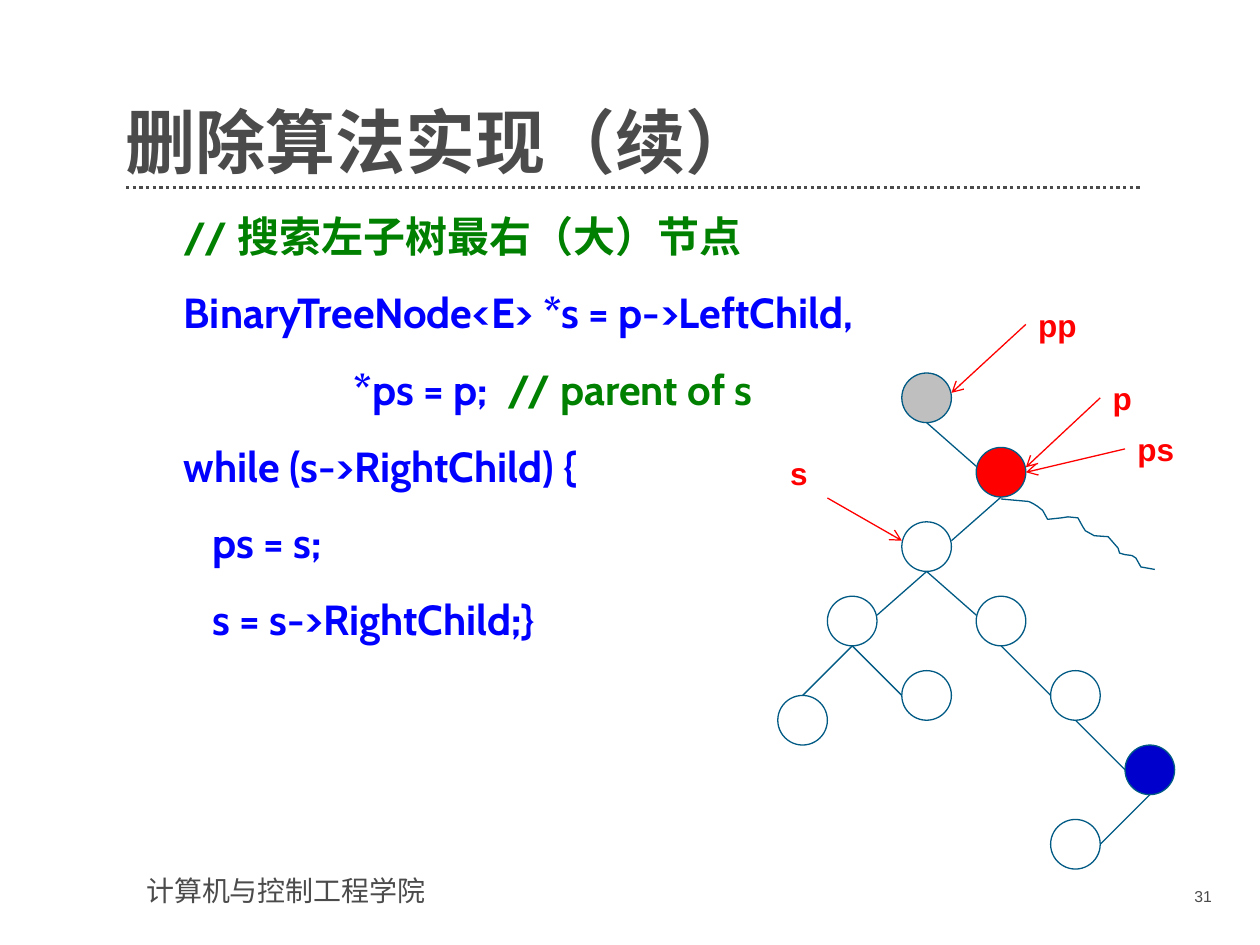
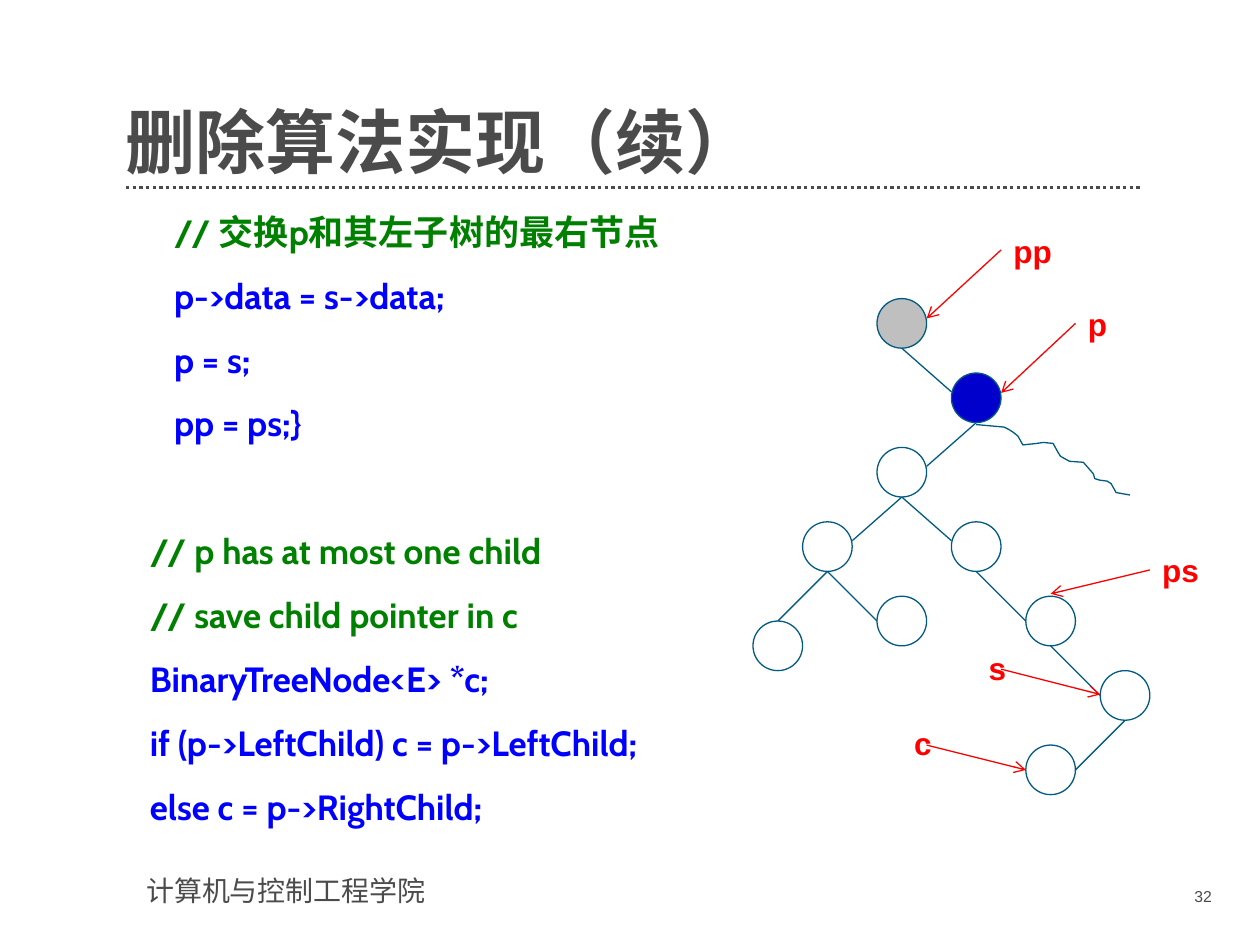
from lxml import etree
from pptx import Presentation
from pptx import util as u
from pptx.dml.color import RGBColor
from pptx.enum import dml, shapes, text
from pptx.oxml.ns import qn

GREY, TEAL, RED = "4B4B4B", "005A84", "FF0000"
GREEN, BLUE = "008000", "0000FF"
SILVER, NAVY = "BFBFBF", "0000CC"
CJK_FONT = "Noto Sans CJK SC"
TITLE = "删除算法实现（续）"
SCHOOL = "计算机与控制工程学院"
RADIUS = 0.5

# Tree geometry in centimetres, measured from the centre of the root.
NODES = {
    "root": (0, 0),
    "target": (1.5, 1.5),
    "left": (0, 3),
    "left.left": (-1.5, 4.5),
    "left.right": (1.5, 4.5),
    "left.left.left": (-2.5, 6.5),
    "left.left.right": (0, 6),
    "second last": (3, 6),
    "rightmost": (4.5, 7.5),
    "leaf": (3, 9),
}
# Parent, child, and where the edge meets the child, from the child's centre.
EDGES = [
    ("root", "target", -RADIUS, -0.12),
    ("target", "left", RADIUS, -0.12),
    ("left", "left.left", RADIUS, -0.12),
    ("left", "left.right", -RADIUS, -0.12),
    ("left.left", "left.left.left", 0, -RADIUS),
    ("left.left", "left.left.right", -RADIUS, 0),
    ("left.right", "second last", -RADIUS, 0),
    ("second last", "rightmost", -RADIUS, 0),
    ("rightmost", "leaf", RADIUS, 0),
]
# Outline of the right subtree, from its top.
SUBTREE = [
    (0, 0), (0.56, 0.05), (0.66, 0.1), (0.74, 0.15), (0.84, 0.23),
    (0.94, 0.41), (1.22, 0.38), (1.35, 0.36), (1.55, 0.38), (1.65, 0.56),
    (1.7, 0.64), (1.88, 0.74), (2.16, 0.76), (2.36, 0.99), (2.39, 1.09),
    (2.49, 1.12), (2.64, 1.14), (2.72, 1.19), (2.82, 1.37), (3.1, 1.42),
]
# Pointer name, label corner, arrow start, arrow end.
COMMON_POINTERS = [
    ("pp", (2, -1.97), (2, -1.48), (0.5, -0.1)),
    ("p", (3.5, -0.5), (3.5, 0), (2, 1.4)),
]

SLIDES = [
    {
        "number": "31",
        "size": 24,
        "code": [(1.17, 15, [
            [("// 搜索左子树最右（大）节点", GREEN)],
            [("BinaryTreeNode<E> *s = p->LeftChild,", BLUE)],
            [("                  *ps = p;", BLUE), ("  // parent of s", GREEN)],
            [("while (s->RightChild) {", BLUE)],
            [("   ps = s;", BLUE)],
            [("   s = s->RightChild;}", BLUE)],
        ])],
        "root": (18.68, 8.02),
        "fills": {"root": SILVER, "target": RED, "rightmost": NAVY},
        "pointers": [
            ("s", (-3, 1), (-2, 2.02), (-0.5, 2.88)),
            ("ps", (4, 0.52), (4, 1.03), (2, 1.5)),
        ],
    },
    {
        "number": "32",
        "size": 20,
        "code": [
            (0.97, 12.5, [
                [("// 交换p和其左子树的最右节点", GREEN)],
                [("p->data = s->data;", BLUE)],
                [("p = s;", BLUE)],
                [("pp = ps;}", BLUE)],
            ]),
            (0.48, 49, [
                [("// p has at most one child", GREEN)],
                [("// save child pointer in c", GREEN)],
                [("BinaryTreeNode<E> *c;", BLUE)],
                [("if (p->LeftChild) c = p->LeftChild;", BLUE)],
                [("else c = p->RightChild;", BLUE)],
            ]),
        ],
        "root": (18.18, 6.52),
        "fills": {"root": SILVER, "target": NAVY},
        "pointers": [
            ("s", (1.5, 6.44), (2, 6.97), (4, 7.48)),
            ("ps", (5, 4.46), (5, 4.97), (3, 5.45)),
            ("c", (0, 7.96), (0.5, 8.5), (2.5, 9)),
        ],
    },
]


def colour(value):
    return RGBColor.from_string(value)


def add_text(slide, box, paragraphs, size, font="Arial", bold=False, inset=True):
    """Add a text box; each paragraph is a list of (text, colour) runs."""
    frame = slide.shapes.add_textbox(*[u.Cm(length) for length in box]).text_frame
    frame.word_wrap = True
    if not inset:
        frame.margin_left = frame.margin_right = 0
        frame.margin_top = frame.margin_bottom = 0
    for index, runs in enumerate(paragraphs):
        paragraph = frame.add_paragraph() if index else frame.paragraphs[0]
        for words, shade in runs:
            run = paragraph.add_run()
            run.text = words
            run.font.size = u.Pt(size)
            run.font.name = font
            run.font.bold = bold
            run.font.color.rgb = colour(shade)
            properties = run.font._element
            etree.SubElement(properties, qn("a:ea")).set("typeface", CJK_FONT)
    return frame


presentation = Presentation()
presentation.slide_width = u.Cm(25.4)
presentation.slide_height = u.Cm(19.05)

for content in SLIDES:
    slide = presentation.slides.add_slide(presentation.slide_layouts[6])
    root_x, root_y = content["root"]
    pointers = COMMON_POINTERS + content["pointers"]

    add_text(slide, (2.7, 17.48, 9, 0.94), [[(SCHOOL, GREY)]], 16)
    title = add_text(slide, (2.54, 1.4, 20.47, 2.31), [[(TITLE, GREY)]], 40,
                     CJK_FONT, bold=True, inset=False)
    title.vertical_anchor = text.MSO_ANCHOR.BOTTOM
    title.paragraphs[0].line_spacing = 0.9
    number = add_text(slide, (22.17, 17.75, 2.51, 0.74),
                      [[(content["number"], GREY)]], 9)
    number.paragraphs[0].alignment = text.PP_ALIGN.RIGHT

    # Code listing
    code_lines = [line for _, _, block in content["code"] for line in block]
    code = add_text(slide, (2.54, 4.24, 20.47, 12.7), code_lines, content["size"],
                    "Cabin", bold=True, inset=False)
    paragraphs = iter(code.paragraphs)
    line_gap = content["code"][0][1]
    for block_number, (indent, block_gap, block) in enumerate(content["code"]):
        for line_number in range(len(block)):
            paragraph = next(paragraphs)
            paragraph._p.get_or_add_pPr().set("marL", str(u.Cm(indent)))
            if line_number:
                paragraph.space_before = u.Pt(line_gap)
            elif block_number:
                paragraph.space_before = u.Pt(block_gap)

    # Tree nodes
    for name, (x, y) in NODES.items():
        node = slide.shapes.add_shape(
            shapes.MSO_SHAPE.OVAL, u.Cm(root_x + x - RADIUS),
            u.Cm(root_y + y - RADIUS), u.Cm(2 * RADIUS), u.Cm(2 * RADIUS))
        node.shadow.inherit = False
        node.line.color.rgb = colour(TEAL)
        node.line.width = u.Pt(0.75)
        if name in content["fills"]:
            node.fill.solid()
            node.fill.fore_color.rgb = colour(content["fills"][name])
        else:
            node.fill.background()

    # Right subtree of the deleted node
    top_x, top_y = root_x + 1.5, root_y + 2.04
    points = [(u.Cm(top_x + x), u.Cm(top_y + y)) for x, y in SUBTREE]
    builder = slide.shapes.build_freeform(*points[0])
    builder.add_line_segments(points[1:], close=False)
    subtree = builder.convert_to_shape()
    subtree.shadow.inherit = False
    subtree.fill.background()
    subtree.line.color.rgb = colour(TEAL)
    subtree.line.width = u.Pt(0.75)

    # Title rule, tree edges and pointer arrows
    lines = [((2.54, 3.78), (23.01, 3.78), GREY)]
    for parent, child, dx, dy in EDGES:
        (parent_x, parent_y), (child_x, child_y) = NODES[parent], NODES[child]
        lines.append(((root_x + parent_x, root_y + parent_y + RADIUS),
                      (root_x + child_x + dx, root_y + child_y + dy), TEAL))
    for name, corner, start, end in pointers:
        lines.append(((root_x + start[0], root_y + start[1]),
                      (root_x + end[0], root_y + end[1]), RED))
        add_text(slide, (root_x + corner[0], root_y + corner[1], 1.5, 1.01),
                 [[(name, RED)]], 18, bold=True)
    for start, end, shade in lines:
        connector = slide.shapes.add_connector(
            shapes.MSO_CONNECTOR.STRAIGHT, *[u.Cm(length) for length in start + end])
        connector.line.color.rgb = colour(shade)
        connector.line.width = u.Pt(1.9 if shade == GREY else 0.75)
        if shade == GREY:
            connector.line.dash_style = dml.MSO_LINE.ROUND_DOT
        properties = connector._element.spPr
        if shade == RED:
            outline = properties.find(qn("a:ln"))
            etree.SubElement(outline, qn("a:tailEnd")).set("type", "arrow")
        etree.SubElement(properties, qn("a:effectLst"))

presentation.save("out.pptx")
